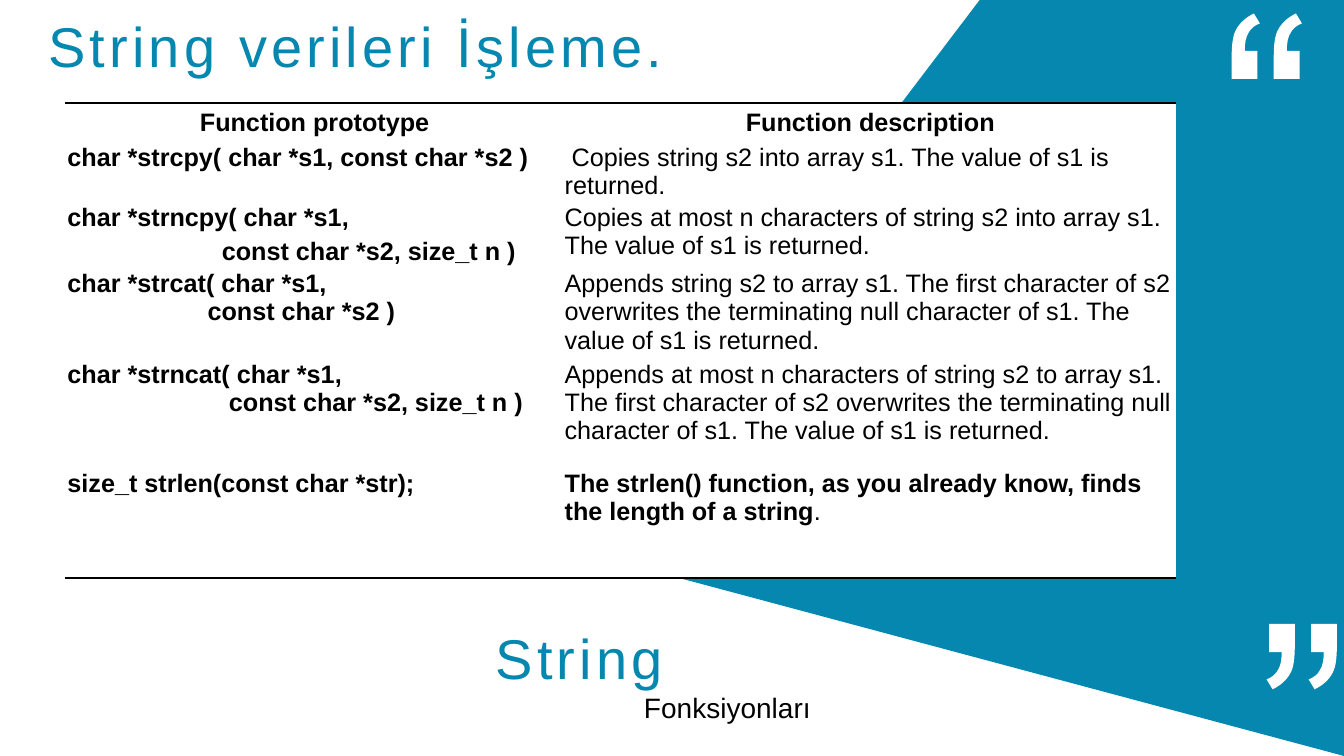
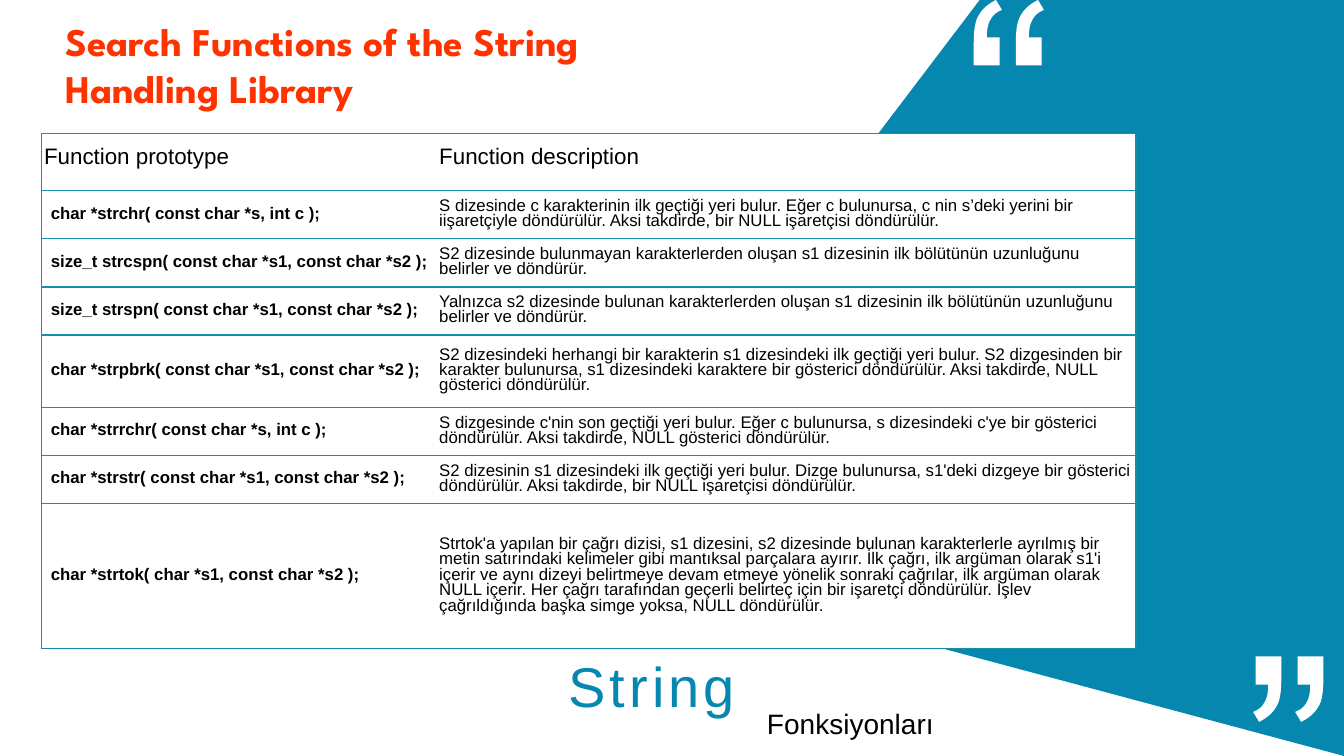
from dataclasses import dataclass

from lxml.etree import SubElement
from pptx import Presentation
from pptx.dml.color import RGBColor
from pptx.enum.text import MSO_ANCHOR, MSO_AUTO_SIZE, PP_ALIGN
from pptx.oxml import parse_xml
from pptx.oxml.ns import nsdecls, qn
from pptx.util import Cm, Pt


@dataclass(frozen=True)
class Theme:
    teal: str = "0587AF"
    rule: str = "1A8EA9"
    red: str = "FF3300"
    black: str = "000000"
    white: str = "FFFFFF"
    body: str = "Arial"
    display: str = "League Spartan"
    big: int = 40
    heading: int = 28
    sub: int = 20
    table: int = 18
    table_head: int = 16
    small: int = 12


T = Theme()

# Text formats
BIG = {"size": Pt(T.big), "name": T.body, "color": T.teal, "spc": 300}
HEADING = {"size": Pt(T.heading), "name": T.display, "color": T.red, "bold": True}
SUB = {"size": Pt(T.sub), "name": T.body, "color": T.black}
CELL = {"size": Pt(T.table), "name": T.body, "color": T.black, "bold": False}
CELL_BOLD = {**CELL, "bold": True}
SMALL = {**CELL, "size": Pt(T.small)}
SMALL_BOLD = {**SMALL, "bold": True}
HEAD = {**CELL, "size": Pt(T.table_head)}

# Paragraph formats
FOOTER = {"line_spacing": 0.9, "space_before": Pt(10)}
SPACED = {"space_before": Pt(3.2), "space_after": Pt(0.8)}
TIGHT = {"space_before": Pt(0), "space_after": Pt(0)}
NEW_LINE = {"space_before": Pt(4), "space_after": Pt(0)}
CENTRED = {**TIGHT, "alignment": PP_ALIGN.CENTER}
INDENT = 0.07

# One quote stroke in cm: points are line ends, six-number tuples are curves
QUOTE_START = (0.56, 0)
QUOTE = [(0.71, 0.25), (0.58, 0.3, 0.48, 0.38, 0.43, 0.48),
         (0.36, 0.58, 0.33, 0.74, 0.33, 0.94), (0.65, 0.94), (0.65, 1.65),
         (0, 1.65), (0, 1.09), (0, 0.79, 0.03, 0.56, 0.1, 0.43),
         (0.2, 0.23, 0.36, 0.1, 0.56, 0)]
QUOTE_GAP = 1.06

# Prototype lines: (text, indent in cm, paragraph format)
COPY_ROWS = [
    ([("char *strcpy( char *s1, const char *s2 )", INDENT, TIGHT)],
     " Copies string s2 into array s1. The value of s1 is returned."),
    ([("char *strncpy( char *s1,", INDENT, TIGHT),
      ("const char *s2, size_t n )", 3.96, NEW_LINE)],
     "Copies at most n characters of string s2 into array s1. "
     "The value of s1 is returned."),
    ([("char *strcat( char *s1,", INDENT, TIGHT),
      ("const char *s2 )", 3.6, TIGHT)],
     "Appends string s2 to array s1. The first character of s2 overwrites "
     "the terminating null character of s1. The value of s1 is returned."),
    ([("char *strncat( char *s1,", INDENT, TIGHT),
      ("const char *s2, size_t n )", 4.14, TIGHT)],
     "Appends at most n characters of string s2 to array s1. The first character "
     "of s2 overwrites the terminating null character of s1. "
     "The value of s1 is returned."),
]

SEARCH_ROWS = [
    ("char *strchr( const char *s, int c );",
     "S dizesinde c karakterinin ilk geçtiği yeri bulur. Eğer c bulunursa, c nin "
     "s’deki yerini bir iişaretçiyle döndürülür. Aksi takdirde, bir NULL "
     "işaretçisi döndürülür."),
    ("size_t strcspn( const char *s1, const char *s2 );",
     "S2 dizesinde bulunmayan karakterlerden oluşan s1 dizesinin ilk bölütünün "
     "uzunluğunu belirler ve döndürür."),
    ("size_t strspn( const char *s1, const char *s2 );",
     "Yalnızca s2 dizesinde bulunan karakterlerden oluşan s1 dizesinin ilk "
     "bölütünün uzunluğunu belirler ve döndürür."),
    ("char *strpbrk( const char *s1, const char *s2 );",
     "S2 dizesindeki herhangi bir karakterin s1 dizesindeki ilk geçtiği yeri bulur. "
     "S2 dizgesinden bir karakter bulunursa, s1 dizesindeki karaktere bir gösterici "
     "döndürülür. Aksi takdirde, NULL gösterici döndürülür."),
    ("char *strrchr( const char *s, int c );",
     "S dizgesinde c'nin son geçtiği yeri bulur. Eğer c bulunursa, s dizesindeki "
     "c'ye bir gösterici döndürülür. Aksi takdirde, NULL gösterici döndürülür."),
    ("char *strstr( const char *s1, const char *s2 );",
     "S2 dizesinin s1 dizesindeki ilk geçtiği yeri bulur. Dizge bulunursa, s1'deki "
     "dizgeye bir gösterici döndürülür. Aksi takdirde, bir NULL işaretçisi "
     "döndürülür."),
    ("char *strtok( char *s1, const char *s2 );",
     "Strtok'a yapılan bir çağrı dizisi, s1 dizesini, s2 dizesinde bulunan "
     "karakterlerle ayrılmış bir metin satırındaki kelimeler gibi mantıksal "
     "parçalara ayırır. İlk çağrı, ilk argüman olarak s1'i içerir ve aynı dizeyi "
     "belirtmeye devam etmeye yönelik sonraki çağrılar, ilk argüman olarak NULL "
     "içerir. Her çağrı tarafından geçerli belirteç için bir işaretçi döndürülür. "
     "İşlev çağrıldığında başka simge yoksa, NULL döndürülür."),
]


# Text helpers
def add_run(p, text, fmt):
    r = p.add_run()
    r.text = text
    for key, value in fmt.items():
        if key == "color":
            r.font.color.rgb = RGBColor.from_string(value)
        elif key == "spc":
            r.font._element.set("spc", str(value))
        else:
            setattr(r.font, key, value)


def format_paragraph(p, fmt, indent=0):
    for key, value in fmt.items():
        setattr(p, key, value)
    if indent:
        p._p.get_or_add_pPr().set("marL", str(Cm(indent)))


def add_text(s, box, text, fmt, para=None, **frame):
    tf = s.shapes.add_textbox(*map(Cm, box)).text_frame
    for key, value in {"word_wrap": True, **frame}.items():
        setattr(tf, key, value)
    p = tf.paragraphs[0]
    format_paragraph(p, para or {})
    add_run(p, text, fmt)


# Outlines
def finish_outline(builder, color, x=0, y=0):
    sp = builder.convert_to_shape(Cm(x), Cm(y))
    sp.shadow.inherit = False
    sp.fill.solid()
    sp.fill.fore_color.rgb = RGBColor.from_string(color)
    sp.line.fill.background()
    return sp


def bend_line(line, curve, dx):
    """Turn a straight path step into a cubic curve."""
    line.tag = qn("a:cubicBezTo")
    for pt in list(line):
        line.remove(pt)
    for x, y in zip(curve[::2], curve[1::2]):
        pt = SubElement(line, qn("a:pt"))
        pt.set("x", str(Cm(x + dx)))
        pt.set("y", str(Cm(y)))


def add_quote(s, x, y, rotation=0):
    shifts = (0, QUOTE_GAP)
    strokes = [[(Cm(px + dx), Cm(py))
                for px, py in [QUOTE_START, *(step[-2:] for step in QUOTE)]]
               for dx in shifts]
    builder = s.shapes.build_freeform(*strokes[0][0])
    builder.add_line_segments(strokes[0][1:])
    builder.move_to(*strokes[1][0])
    builder.add_line_segments(strokes[1][1:])
    sp = finish_outline(builder, T.white, x, y)
    sp.rotation = rotation
    steps = [(step, dx) for dx in shifts for step in QUOTE]
    for line, (step, dx) in zip(list(sp._element.iter(qn("a:lnTo"))), steps):
        if len(step) == 6:
            bend_line(line, step, dx)


def add_band(s):
    corners = [(33.87, 19.05), (14.22, 13.79), (24.69, 0), (33.87, 0)]
    points = [(Cm(x), Cm(y)) for x, y in corners]
    builder = s.shapes.build_freeform(*points[0])
    builder.add_line_segments(points[1:])
    finish_outline(builder, T.teal)


# Tables
def set_borders(cell, borders):
    """borders maps a side (L, R, T, B) to (colour, points)."""
    tcPr = cell._tc.get_or_add_tcPr()
    for i, side in enumerate("LRTB"):
        ln = parse_xml(f'<a:ln{side} {nsdecls("a")}/>')
        if side in borders:
            color, width = borders[side]
            ln.set("w", str(Pt(width)))
            fill = SubElement(ln, qn("a:solidFill"))
            SubElement(fill, qn("a:srgbClr")).set("val", color)
        else:
            SubElement(ln, qn("a:noFill"))
        tcPr.insert(i, ln)


def add_grid(s, x, y, widths, heights, borders_at):
    tbl = s.shapes.add_table(len(heights), len(widths), Cm(x), Cm(y),
                             Cm(sum(widths)), Cm(sum(heights))).table
    tbl.first_row = tbl.horz_banding = False
    for col, width in zip(tbl.columns, widths):
        col.width = Cm(width)
    for i, height in enumerate(heights):
        tbl.rows[i].height = Cm(height)
        for j in range(len(widths)):
            cell = tbl.cell(i, j)
            for side in ("left", "right", "top", "bottom"):
                setattr(cell, f"margin_{side}", 0)
            cell.fill.solid()
            cell.fill.fore_color.rgb = RGBColor.from_string(T.white)
            set_borders(cell, borders_at(i, j))
    return tbl


def fill_cell(cell, lines, para=TIGHT, anchor=MSO_ANCHOR.TOP):
    """lines holds (runs, indent, paragraph format or None) items."""
    cell.vertical_anchor = anchor
    tf = cell.text_frame
    for i, (runs, indent, own) in enumerate(lines):
        p = tf.add_paragraph() if i else tf.paragraphs[0]
        format_paragraph(p, own or para, indent)
        for text, fmt in runs:
            add_run(p, text, fmt)


def fill_line(cell, text, fmt, para=TIGHT, anchor=MSO_ANCHOR.TOP):
    fill_cell(cell, [([(text, fmt)], INDENT, None)], para, anchor)


def add_copy_table(s):
    heights = [1.02, 1.32, 1.5, 2.01, 2.74, 2.74]
    edge = (T.black, 2)
    sides = {0: {"T": edge}, len(heights) - 1: {"B": edge}}
    tbl = add_grid(s, 1.63, 2.59, [12.53, 15.48], heights,
                   lambda i, j: sides.get(i, {}))
    for j, text in enumerate(("Function prototype", "Function description")):
        fill_line(tbl.cell(0, j), text, CELL_BOLD, CENTRED, MSO_ANCHOR.MIDDLE)
    for i, (prototype, description) in enumerate(COPY_ROWS, 1):
        fill_cell(tbl.cell(i, 0),
                  [([(t, CELL_BOLD)], indent, para) for t, indent, para in prototype])
        fill_line(tbl.cell(i, 1), description, CELL)
    fill_line(tbl.cell(5, 0), "size_t strlen(const char *str);", CELL_BOLD)
    strlen_text = ("The strlen() function, as you already know, "
                   "finds the length of a string")
    fill_cell(tbl.cell(5, 1),
              [([(strlen_text, CELL_BOLD), (".", CELL)], INDENT, None)])


def add_search_table(s):
    edge = (T.rule, 1)
    ends = {0: {"L": edge}, 2: {"R": edge}}
    tbl = add_grid(s, 1.04, 3.36, [0.17, 9.79, 17.63],
                   [1.45, 1.21, 1.21, 1.21, 1.83, 1.21, 1.21, 3.66],
                   lambda i, j: {"T": edge, "B": edge, **ends.get(j, {})})
    tbl.cell(0, 0).merge(tbl.cell(0, 1))
    head = {**SPACED, "line_spacing": Pt(10)}
    body = {**SPACED, "line_spacing": Pt(11)}
    for j, text in ((0, "Function prototype"), (2, "Function description")):
        fill_line(tbl.cell(0, j), text, HEAD, head, MSO_ANCHOR.MIDDLE)
    for i, (prototype, description) in enumerate(SEARCH_ROWS, 1):
        fill_line(tbl.cell(i, 1), prototype, SMALL_BOLD, body, MSO_ANCHOR.MIDDLE)
        fill_line(tbl.cell(i, 2), description, SMALL, body, MSO_ANCHOR.MIDDLE)
        tbl.cell(i, 2).margin_right = Cm(0.1)


# Parts both slides share
def add_slide(prs, open_at, close_at, sub_at, big_at):
    s = prs.slides.add_slide(prs.slide_layouts[6])
    add_band(s)
    add_quote(s, *open_at)
    add_quote(s, *close_at, rotation=180)
    middle = {"vertical_anchor": MSO_ANCHOR.MIDDLE}
    add_text(s, (*sub_at, 7.26, 1.65), "Fonksiyonları", SUB,
             {**FOOTER, "alignment": PP_ALIGN.JUSTIFY}, **middle)
    add_text(s, (*big_at, 10.03, 1.65), "String", BIG, FOOTER, **middle)
    return s


def main():
    prs = Presentation()
    prs.slide_width, prs.slide_height = Cm(33.87), Cm(19.05)
    grow = {"auto_size": MSO_AUTO_SIZE.SHAPE_TO_FIT_TEXT}

    # Copy and append functions
    s = add_slide(prs, (31.04, 0.34), (31.92, 15.72), (15.98, 17.05), (12.24, 15.84))
    add_copy_table(s)
    add_text(s, (0.97, 0.17, 16.28, 1.96), "String verileri İşleme.", BIG,
             word_wrap=False, **grow)

    # Search functions
    s = add_slide(prs, (24.54, 0), (31.58, 16.54), (19.08, 17.45), (14.07, 16.54))
    add_search_table(s)
    add_text(s, (1.4, 0.3, 16.94, 2.64),
             "Search Functions of the String Handling Library", HEADING, **grow)

    prs.save("out.pptx")


if __name__ == "__main__":
    main()
